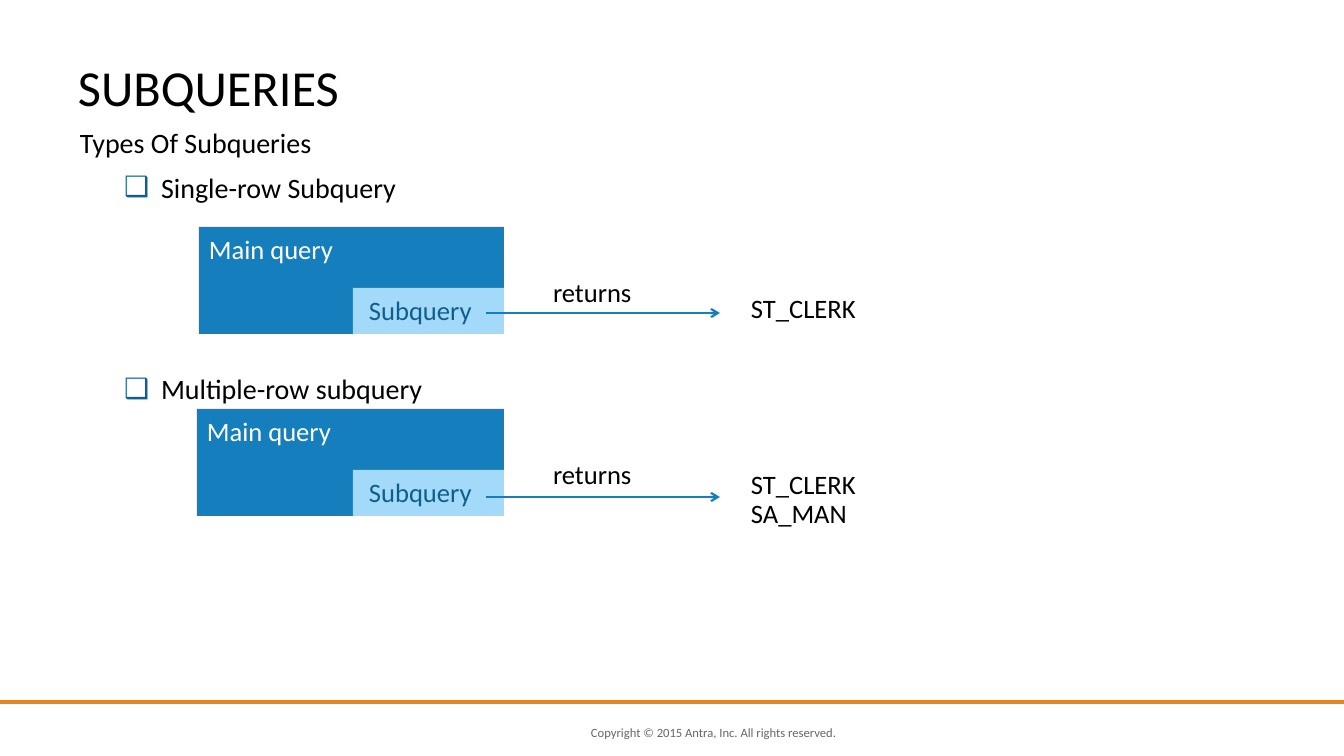
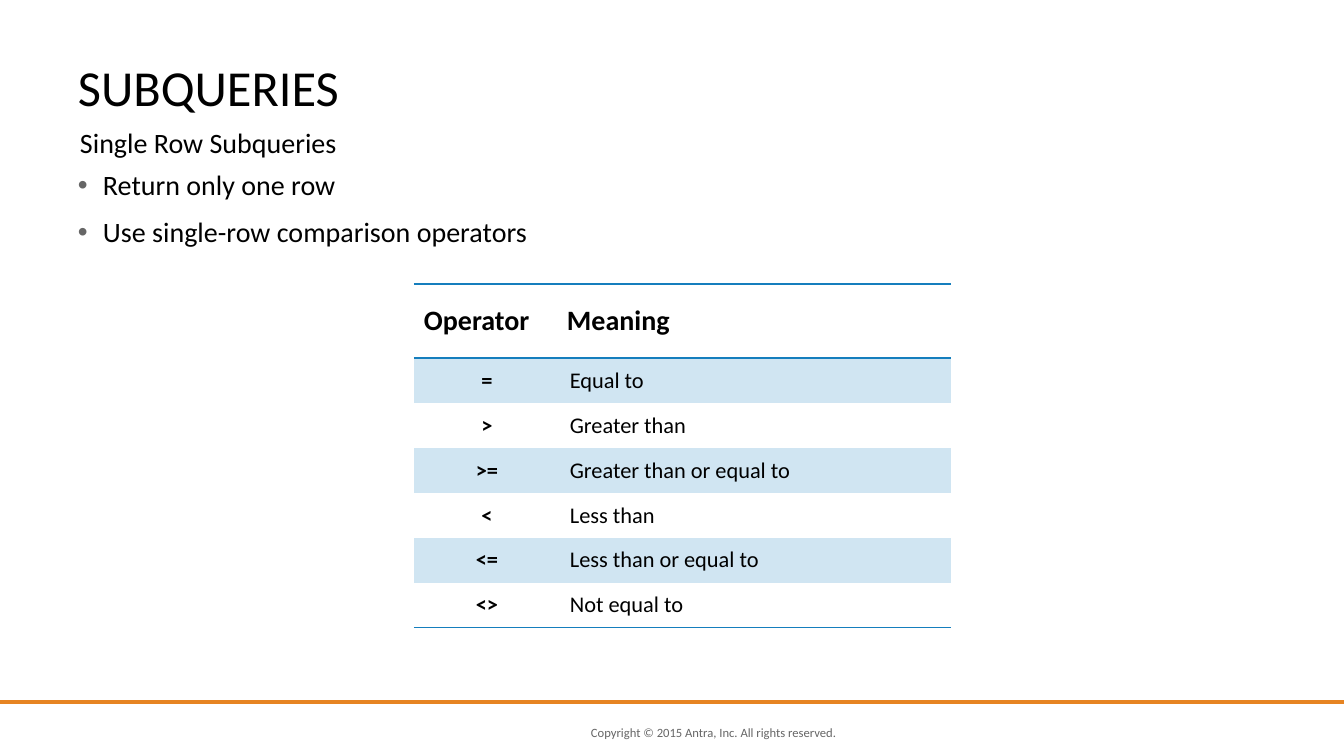
from lxml import etree
from pptx import Presentation
from pptx.dml.color import RGBColor
from pptx.enum.shapes import MSO_CONNECTOR, MSO_SHAPE
from pptx.enum.text import MSO_ANCHOR, MSO_AUTO_SIZE, PP_ALIGN
from pptx.oxml.ns import qn
from pptx.util import Pt

BLACK = RGBColor(0x00, 0x00, 0x00)
WHITE = RGBColor(0xFF, 0xFF, 0xFF)
GREY = RGBColor(0x66, 0x66, 0x66)
ORANGE = RGBColor(0xE6, 0x84, 0x22)
BLUE = RGBColor(0x15, 0x7E, 0xBD)
NAVY = RGBColor(0x10, 0x5E, 0x8E)
SKY = RGBColor(0xA3, 0xD9, 0xF9)
TINT = RGBColor(0xD0, 0xE5, 0xF2)

LEFT, CENTER = PP_ALIGN.LEFT, PP_ALIGN.CENTER
TOP, MIDDLE = MSO_ANCHOR.TOP, MSO_ANCHOR.MIDDLE
NO_FIT = MSO_AUTO_SIZE.NONE
RECT = MSO_SHAPE.RECTANGLE
STRAIGHT = MSO_CONNECTOR.STRAIGHT

FONT = "Calibri"
NO_STYLE = "{2D5ABB26-0587-4C30-8999-92F81FD0307C}"
WIDE, HIGH = 1344, 756
SCALE = 12192000 / WIDE


def px(n):
    return round(n * SCALE)


def place(shape, x, y, w, h):
    shape.left, shape.top, shape.width, shape.height = map(px, (x, y, w, h))


def setup(frame, pad=(10, 5, 10, 5), anchor=TOP, wrap=True):
    frame.auto_size = NO_FIT
    frame.word_wrap = wrap
    frame.vertical_anchor = anchor
    (frame.margin_left, frame.margin_top,
     frame.margin_right, frame.margin_bottom) = map(px, pad)


def write(frame, lines, size, color, lead=1.0, bold=False, align=LEFT):
    for i, line in enumerate(lines):
        para = frame.add_paragraph() if i else frame.paragraphs[0]
        para.alignment = align
        para.line_spacing = lead
        run = para.add_run()
        run.text = line
        font = run.font
        font.name, font.size, font.bold = FONT, Pt(size), bold
        font.color.rgb = color


def label(slide, box, lines, size, color=BLACK, lead=1.0,
          pad=(0, 0, 0, 0), anchor=TOP):
    frame = slide.shapes.add_textbox(*map(px, box)).text_frame
    setup(frame, pad, anchor, wrap=False)
    write(frame, lines, size, color, lead)


def block(slide, box, color):
    shape = slide.shapes.add_shape(RECT, *map(px, box))
    shape.shadow.inherit = False
    shape.fill.solid()
    shape.fill.fore_color.rgb = color
    shape.line.fill.background()
    return shape


def arrow(slide, x, y, end):
    line = slide.shapes.add_connector(STRAIGHT, px(x), px(y), px(end), px(y))
    line.line.color.rgb = BLUE
    line.line.width = Pt(1.5)
    props = line.line._get_or_add_ln()
    etree.SubElement(props, qn("a:tailEnd"), type="arrow")
    etree.SubElement(line._element.spPr, qn("a:effectLst"))


def bullets(slide, box, lines, mark, color, indent, gap, lead=1.0):
    body = slide.placeholders[1]
    place(body, *box)
    frame = body.text_frame
    setup(frame)
    write(frame, lines, 20, BLACK, lead)
    for i, para in enumerate(frame.paragraphs):
        props = para._p.get_or_add_pPr()
        props.set("marL", str(px(indent)))
        props.set("indent", str(-px(indent)))
        tone = etree.SubElement(props, qn("a:buClr"))
        etree.SubElement(tone, qn("a:srgbClr"), val=str(color))
        etree.SubElement(props, qn("a:buChar"), char=mark)
        para.space_before = Pt(gap if i else 0)
        para.space_after = Pt(0)


def base(deck, topic):
    """Slide with the shared footer, rule, title and topic line."""
    slide = deck.slides.add_slide(deck.slide_layouts[1])
    label(slide, (591, 723, 307, 20),
          ["Copyright © 2015 Antra, Inc. All rights reserved."],
          9, GREY, anchor=MIDDLE)
    block(slide, (0, 700, WIDE, 4), ORANGE)
    title = slide.shapes.title
    place(title, 68, 51, 600, 72)
    setup(title.text_frame)
    write(title.text_frame, ["SUBQUERIES"], 36, BLACK)
    label(slide, (70, 120, 280, 44), [topic], 20, pad=(10, 5, 10, 5))
    return slide


def query(slide, x, y, w, drop, value, names):
    """Main query box holding a subquery, with an arrow to its result."""
    right = x + w
    main = block(slide, (x, y, w, 107), BLUE)
    inner = block(slide, (right - 151, y + 61, 151, 46), SKY)
    parts = ((main, 10, "Main query", WHITE), (inner, 16, "Subquery", NAVY))
    for shape, inset, text, color in parts:
        setup(shape.text_frame, (inset, 10, 0, 0))
        write(shape.text_frame, [text], 19, color, 0.9)
    arrow(slide, right - 18, y + drop, right + 216)
    label(slide, (right + 49, y + 53, 94, 33), ["returns"], 19, lead=0.9)
    label(slide, (right + 247, y + value, 116, 29 * len(names)),
          names, 19, lead=0.9)


def border(cell, sides):
    props = cell._tc.get_or_add_tcPr()
    for side in sides:
        line = etree.SubElement(props, qn("a:ln" + side), w=str(Pt(1)))
        fill = etree.SubElement(line, qn("a:solidFill"))
        etree.SubElement(fill, qn("a:srgbClr"), val=str(BLUE))


def grid(slide, x, y, cols, head, step, rows):
    """Operator table with a ruled header and tinted odd rows."""
    last = len(rows) - 1
    box = (x, y, sum(cols), head + step * last)
    table = slide.shapes.add_table(
        len(rows), len(cols), *map(px, box)).table
    table.first_row = table.horz_banding = False
    table._tbl.tblPr.find(qn("a:tableStyleId")).text = NO_STYLE
    for col, w in zip(table.columns, cols):
        col.width = px(w)
    for r, row in enumerate(rows):
        table.rows[r].height = px(step if r else head)
        for c, text in enumerate(row):
            cell = table.cell(r, c)
            cell.vertical_anchor = MIDDLE
            side = 7 if r == 0 and c == 1 else 10
            cell.margin_left = cell.margin_right = px(side)
            cell.margin_top = cell.margin_bottom = px(5)
            border(cell, "TB" if r == 0 else "B" if r == last else "")
            if r % 2:
                cell.fill.solid()
                cell.fill.fore_color.rgb = TINT
            else:
                cell.fill.background()
            write(cell.text_frame, [text], 16 if r else 20, BLACK,
                  bold=r == 0 or c == 0,
                  align=CENTER if r and c == 0 else LEFT)


def types(deck):
    slide = base(deck, "Types Of Subqueries")
    bullets(slide, (114, 165, 500, 383),
            ["Single-row Subquery", "Multiple-row subquery"],
            "❑", NAVY, 37, 120)
    query(slide, 199, 227, 305, 86, 69, ["ST_CLERK"])
    query(slide, 197, 409, 307, 88, 63, ["ST_CLERK", "SA_MAN"])


def single(deck):
    slide = base(deck, "Single Row Subqueries")
    bullets(slide, (68, 166, 1276, 87),
            ["Return only one row", "Use single-row comparison operators"],
            "•", GREY, 25, 12, 0.9)
    grid(slide, 414, 284, (146, 391), 74, 45, (
        ("Operator", "Meaning"),
        ("=", "Equal to"),
        (">", "Greater than"),
        (">=", "Greater than or equal to"),
        ("<", "Less than"),
        ("<=", "Less than or equal to"),
        ("<>", "Not equal to"),
    ))


def main():
    deck = Presentation()
    deck.slide_width, deck.slide_height = px(WIDE), px(HIGH)
    types(deck)
    single(deck)
    deck.save("out.pptx")


if __name__ == "__main__":
    main()
